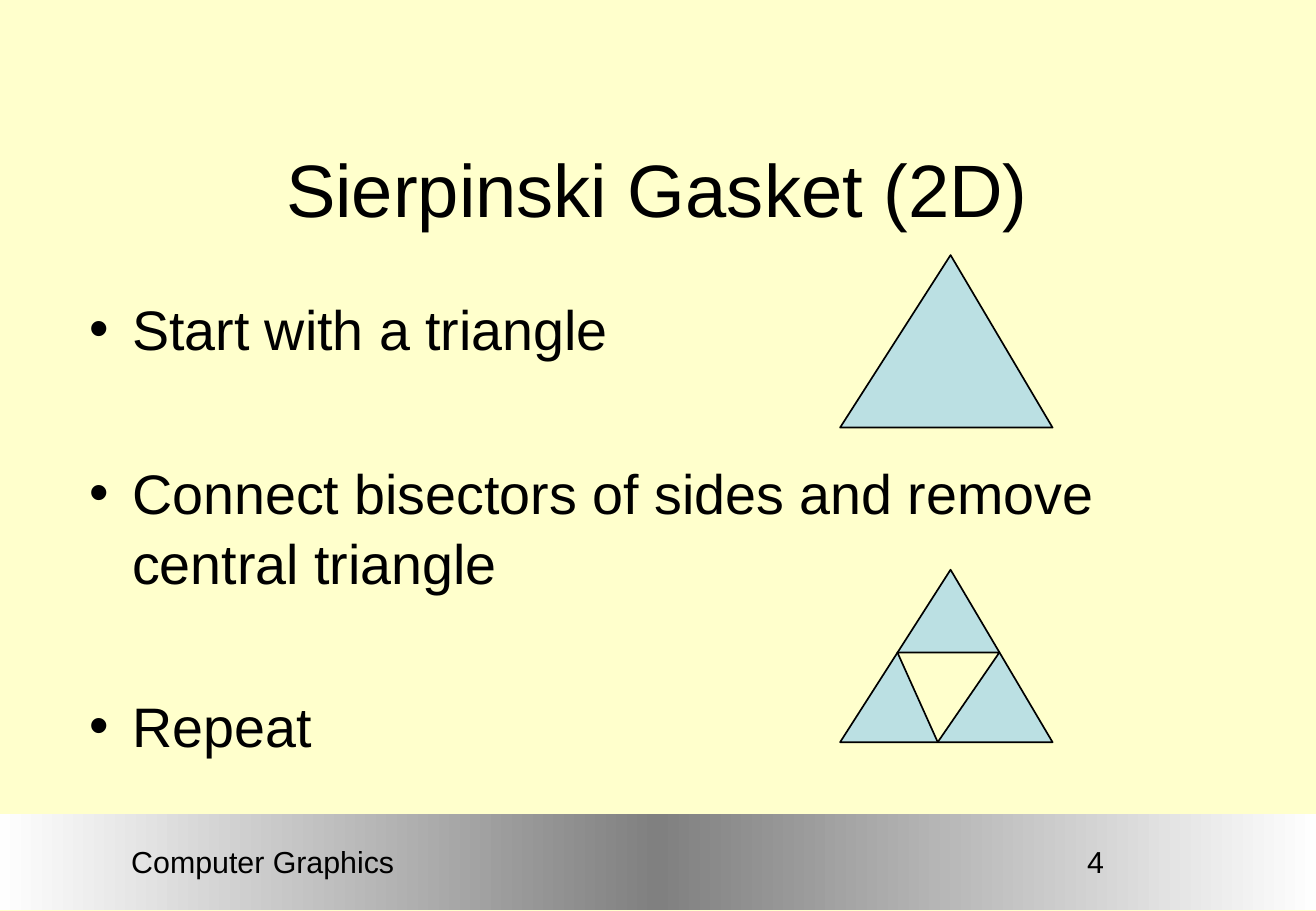
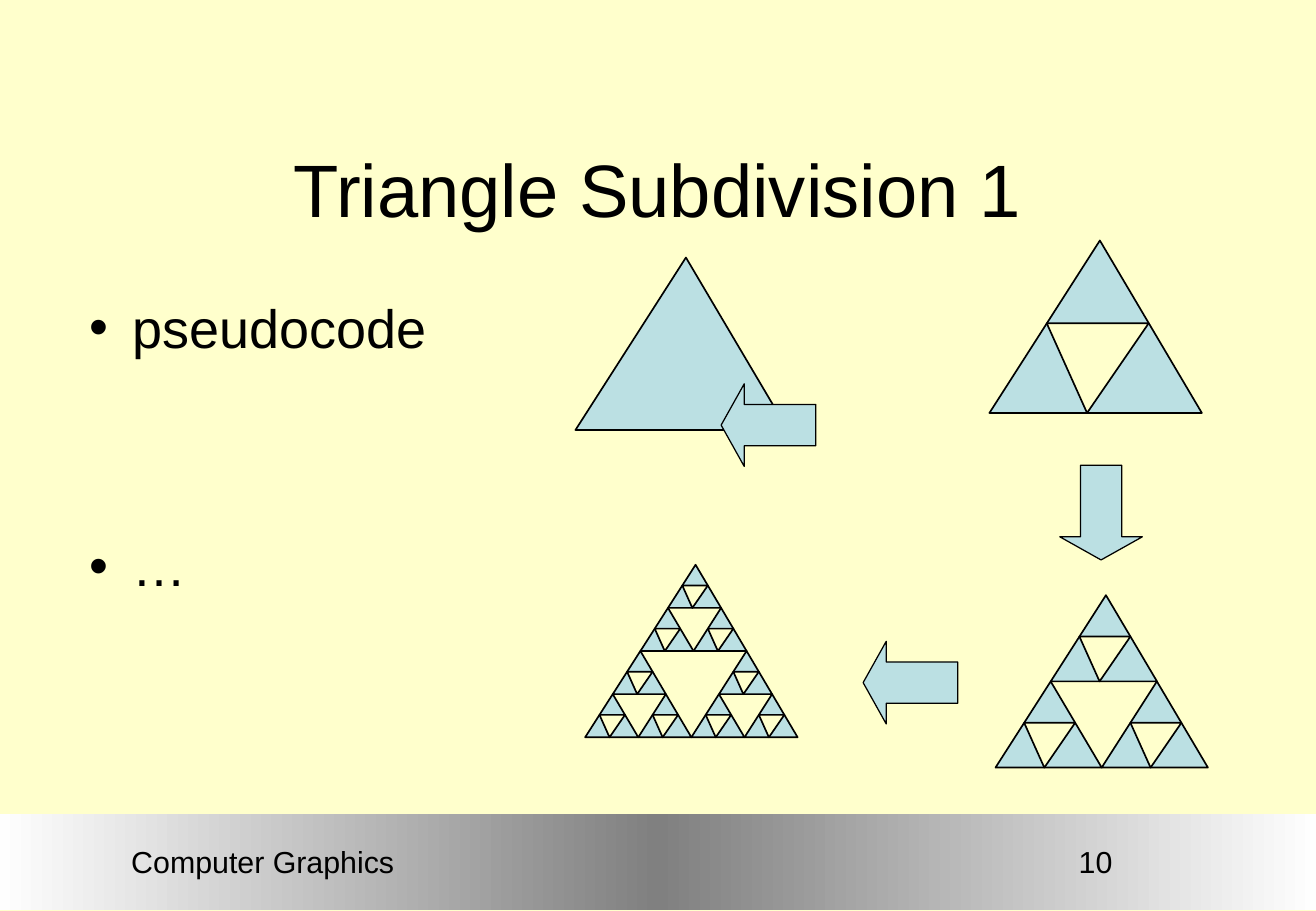
import copy

import pptx
import pptx.dml.color
import pptx.enum.shapes
import pptx.enum.text
import pptx.oxml
import pptx.oxml.ns
import pptx.util

Inches, Pt = pptx.util.Inches, pptx.util.Pt
RGB = pptx.dml.color.RGBColor
ALIGN = pptx.enum.text.PP_ALIGN
ANCHOR = pptx.enum.text.MSO_ANCHOR
SHAPE = pptx.enum.shapes.MSO_SHAPE
qn = pptx.oxml.ns.qn

CREAM = RGB(0xFF, 0xFF, 0xCC)
AQUA = RGB(0xBB, 0xE0, 0xE3)
BLACK = RGB(0, 0, 0)
WHITE = RGB(0xFE, 0xFE, 0xFE)
GRAY = RGB(0x80, 0x80, 0x80)
FONT = "Arial"

SLIDE_W, SLIDE_H = 10.84, 7.5
BAND = (0, 6.7, SLIDE_W, 0.79)
FOOTER = (0.45, 6.83, 3.43, 0.52)
NUMBER = (7.76, 6.83, 2.53, 0.52)
TITLE = (0.54, 0.92, 9.75, 1.25)
BODY = (0.54, 2.35, 9.75, 4.2)
GASKET_W, GASKET_H = 1.75, 1.42
APEX = 0.52                                        # share of the width
HOLE = [(0.27, 0.48), (0.75, 0.48), (0.46, 1)]     # shares of width and height
ARROW_LONG, ARROW_WIDE = 0.78, 0.68

FOOTER_TEXT = "Computer Graphics"
SLIDES = [
    {
        "title": "Sierpinski Gasket (2D)", "number": "4",
        "bullets": ["Start with a triangle",
                    "Connect bisectors of sides and remove central triangle",
                    "Repeat"],
        "size": 33, "gap": 55.5,
        "gaskets": [(6.92, 2.1, 0), (6.92, 4.69, 1)],   # left, top, depth
        "arrows": [],
    },
    {
        "title": "Triangle Subdivision 1", "number": "10",
        "bullets": ["pseudocode", "…"],
        "size": 32, "gap": 101,
        "gaskets": [(4.74, 2.12, 0), (8.15, 1.98, 1),
                    (8.2, 4.9, 2), (4.82, 4.65, 3)],
        "arrows": [("left", 5.94, 3.16), ("down", 8.73, 3.83),
                   ("left", 7.11, 5.28)],
    },
]


def add_text(slide, box, lines, size, align=ALIGN.LEFT, anchor=ANCHOR.MIDDLE,
             bulleted=False, gap=0, spacing=None):
    frame = slide.shapes.add_textbox(*map(Inches, box)).text_frame
    frame.word_wrap = True
    frame.vertical_anchor = anchor
    for index, line in enumerate(lines):
        paragraph = frame.paragraphs[0] if index == 0 else frame.add_paragraph()
        paragraph.text = line
        paragraph.alignment = align
        if spacing:
            paragraph.line_spacing = spacing
        if index and gap:
            paragraph.space_before = Pt(gap)
        if bulleted:
            add_bullet(paragraph)
        font = paragraph.font
        font.name, font.size = FONT, Pt(size)
        font.color.rgb = BLACK


def add_bullet(paragraph, margin=0.45, hanging=0.35):
    properties = paragraph._p.get_or_add_pPr()
    properties.set("marL", str(Inches(margin)))
    properties.set("indent", str(-Inches(hanging)))
    for tag, name, value in (("a:buFont", "typeface", FONT),
                             ("a:buChar", "char", "•")):
        element = pptx.oxml.parse_xml(
            f'<{tag} {pptx.oxml.ns.nsdecls("a")} {name}="{value}"/>')
        properties.append(element)


def paint(shape, color, width):
    shape.shadow.inherit = False
    shape.fill.solid()
    shape.fill.fore_color.rgb = color
    shape.line.color.rgb = BLACK
    shape.line.width = Pt(width)


def add_band(slide):
    band = slide.shapes.add_shape(SHAPE.RECTANGLE, *map(Inches, BAND))
    band.shadow.inherit = False
    band.line.fill.background()
    band.fill.gradient()
    band.fill.gradient_angle = 0
    stops = band._element.spPr.find(".//" + qn("a:gsLst"))
    stops.append(copy.deepcopy(stops[0]))
    for stop, position, color in zip(band.fill.gradient_stops,
                                     (0, 0.5, 1), (WHITE, GRAY, WHITE)):
        stop.position = position
        stop.color.rgb = color


def add_polygon(slide, points, color):
    start, *rest = [(Inches(x), Inches(y)) for x, y in points]
    builder = slide.shapes.build_freeform(*start)
    builder.add_line_segments(rest, close=True)
    paint(builder.convert_to_shape(), color, 1)


def add_gasket(slide, left, top, depth, width=GASKET_W, height=GASKET_H):
    """Draw a triangle split depth times, by recursion into its corners."""
    if depth > 1:
        half_w, half_h = width / 2, height / 2
        for x, y in ((APEX * half_w, 0), (half_w, half_h), (0, half_h)):
            add_gasket(slide, left + x, top + y, depth - 1, half_w, half_h)
        return
    layers = [([(0, 1), (APEX, 0), (1, 1)], AQUA), (HOLE, CREAM)]
    for corners, color in layers[:depth + 1]:
        points = [(left + x * width, top + y * height) for x, y in corners]
        add_polygon(slide, points, color)


def add_arrow(slide, direction, left, top):
    if direction == "left":
        kind, size = SHAPE.LEFT_ARROW, (ARROW_LONG, ARROW_WIDE)
    else:
        kind, size = SHAPE.DOWN_ARROW, (ARROW_WIDE, ARROW_LONG)
    arrow = slide.shapes.add_shape(kind, *map(Inches, (left, top, *size)))
    arrow.adjustments[0], arrow.adjustments[1] = 0.5, 0.28
    paint(arrow, AQUA, 0.75)


def add_slide(deck, content):
    slide = deck.slides.add_slide(deck.slide_layouts[6])
    slide.background.fill.solid()
    slide.background.fill.fore_color.rgb = CREAM
    add_band(slide)
    add_text(slide, NUMBER, [content["number"]], 18, align=ALIGN.CENTER)
    add_text(slide, FOOTER, [FOOTER_TEXT], 18, align=ALIGN.CENTER)
    add_text(slide, TITLE, [content["title"]], 44, align=ALIGN.CENTER)
    add_text(slide, BODY, content["bullets"], content["size"],
             anchor=ANCHOR.TOP, bulleted=True, gap=content["gap"], spacing=1.05)
    for gasket in content["gaskets"]:
        add_gasket(slide, *gasket)
    for arrow in content["arrows"]:
        add_arrow(slide, *arrow)


def main():
    deck = pptx.Presentation()
    deck.slide_width, deck.slide_height = Inches(SLIDE_W), Inches(SLIDE_H)
    for content in SLIDES:
        add_slide(deck, content)
    deck.save("out.pptx")


if __name__ == "__main__":
    main()
